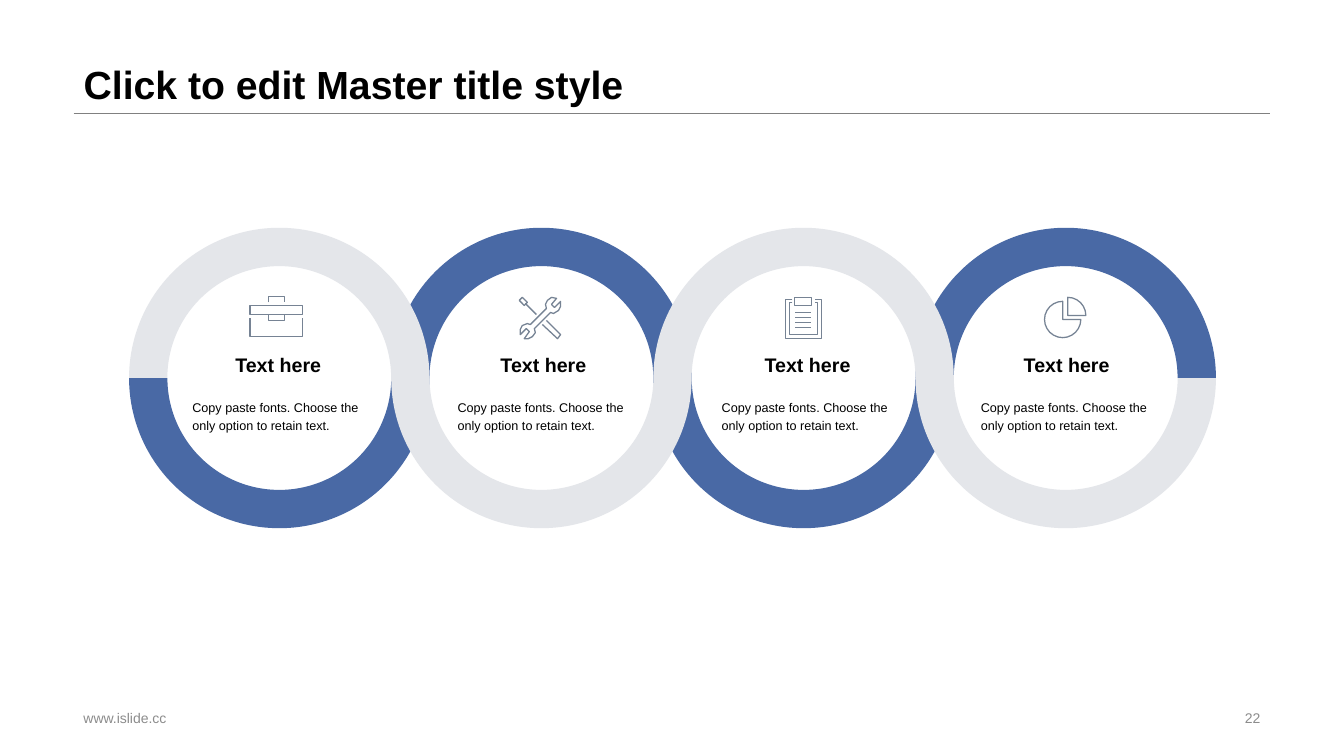
import math
import lxml.etree
import pptx
import pptx.dml.color
import pptx.enum.shapes
import pptx.enum.text
import pptx.oxml.ns
import pptx.util

Inches = pptx.util.Inches
RGBColor = pptx.dml.color.RGBColor
ALIGN = pptx.enum.text.PP_ALIGN
ANCHOR = pptx.enum.text.MSO_ANCHOR

BLUE = RGBColor(0x49, 0x69, 0xA5)
PALE = RGBColor(0xE4, 0xE6, 0xEA)
SLATE = RGBColor(0x76, 0x83, 0x94)
BLACK = RGBColor(0, 0, 0)
GREY = RGBColor(0x8C, 0x8C, 0x8C)
RULE = RGBColor(0x80, 0x80, 0x80)

SIZE = 2.98
BAND = 0.38
FIRST = 1.28
STEP = 2.6
TOP = 2.26


def style(frame, text, size, color, bold=False, align=ALIGN.LEFT,
          anchor=ANCHOR.MIDDLE, wrap=True, space=1.0):
    frame.auto_size = pptx.enum.text.MSO_AUTO_SIZE.NONE
    frame.word_wrap = wrap
    frame.vertical_anchor = anchor
    frame.text = text
    para = frame.paragraphs[0]
    para.alignment = align
    para.line_spacing = space
    para.font.name = "Arial"
    para.font.size = pptx.util.Pt(size)
    para.font.bold = bold
    para.font.color.rgb = color


def add_text(slide, place, text, size, color, **look):
    shape = slide.shapes.add_textbox(*map(Inches, place))
    style(shape.text_frame, text, size, color, **look)


def add_title(slide, text):
    title = slide.shapes.title
    title.left, title.top = Inches(0.73), Inches(0)
    title.width, title.height = Inches(11.87), Inches(1.12)
    style(title.text_frame, text, 28, BLACK, bold=True,
          anchor=ANCHOR.BOTTOM, space=0.9)


def add_rule(slide):
    line = slide.shapes.add_connector(
        pptx.enum.shapes.MSO_CONNECTOR.STRAIGHT,
        Inches(0.73), Inches(1.12), Inches(12.6), Inches(1.12))
    line.line.color.rgb = RULE
    line.line.width = pptx.util.Pt(0.25)
    lxml.etree.SubElement(line.element.spPr, pptx.oxml.ns.qn("a:effectLst"))


def add_half(slide, index, turn, color):
    half = slide.shapes.add_shape(
        pptx.enum.shapes.MSO_SHAPE.BLOCK_ARC, Inches(FIRST + STEP * index),
        Inches(TOP), Inches(SIZE), Inches(SIZE))
    half.adjustments[2] = BAND / SIZE
    half.rotation = turn
    half.shadow.inherit = False
    half.fill.solid()
    half.fill.fore_color.rgb = color
    half.line.fill.background()


def add_icon(slide, paths):
    pen = None
    for points, closed in paths:
        spots = [(Inches(x), Inches(y)) for x, y in points]
        if pen is None:
            pen = slide.shapes.build_freeform(*spots[0])
        else:
            pen.move_to(*spots[0])
        pen.add_line_segments(spots[1:], close=closed)
    icon = pen.convert_to_shape()
    icon.shadow.inherit = False
    icon.fill.background()
    icon.line.color.rgb = SLATE
    icon.line.width = pptx.util.Pt(0.9)


def box(left, top, right, base):
    return [(left, top), (right, top), (right, base), (left, base)], True


def cup(left, right, rim, base):
    return [(left, rim), (left, base), (right, base), (right, rim)], False


def frame(left, top, right, base):
    return [(7.86, top), (left, top), (left, base), (right, base),
            (right, top), (8.08, top)], False


def wedge(x, y, start, end):
    turns = [math.radians(turn) for turn in range(start, end + 1, 15)]
    return [(x, y)] + [(x + 0.18 * math.cos(turn), y + 0.18 * math.sin(turn))
                       for turn in turns], True


def case_icon():
    return [box(2.48, 3.03, 3, 3.12), cup(2.48, 3, 3.16, 3.34),
            cup(2.66, 2.82, 3, 2.94), cup(2.66, 2.82, 3.13, 3.18)]


def tool_icon():
    wrench = [
        (5.52, 2.96), (5.47, 2.95), (5.43, 2.98), (5.41, 3.02), (5.42, 3.06),
        (5.26, 3.22), (5.23, 3.21), (5.18, 3.23), (5.16, 3.27), (5.16, 3.32),
        (5.22, 3.26), (5.25, 3.29), (5.2, 3.36), (5.24, 3.36), (5.28, 3.34),
        (5.31, 3.3), (5.3, 3.26), (5.46, 3.1), (5.49, 3.11), (5.54, 3.08),
        (5.56, 3.04), (5.56, 2.99), (5.5, 3.05), (5.47, 3.02)]
    tip = [(5.18, 2.95), (5.15, 2.98), (5.2, 3.03), (5.23, 3)]
    shaft = [(5.21, 3.01), (5.32, 3.12)]
    grip = [(5.42, 3.18), (5.56, 3.32), (5.53, 3.36), (5.38, 3.22)]
    return [(wrench, True), (tip, True), (shaft, False), (grip, False)]


def list_icon():
    rows = [([(7.89, 3.1 + 0.05 * i), (8.04, 3.1 + 0.05 * i)], False)
            for i in range(4)]
    return rows + [box(7.88, 2.95, 8.05, 3.03),
                   frame(7.83, 3, 8.11, 3.32),
                   frame(7.79, 2.97, 8.15, 3.36)]


def pie_icon():
    return [wedge(10.59, 3.13, -90, 0), wedge(10.54, 3.17, 0, 270)]


def main():
    deck = pptx.Presentation()
    deck.slide_width, deck.slide_height = Inches(13.33), Inches(7.5)
    slide = deck.slides.add_slide(deck.slide_layouts[5])

    add_rule(slide)
    add_title(slide, "Click to edit Master title style")
    add_text(slide, (0.73, 7.01, 4.53, 0.23), "www.islide.cc", 10, GREY)
    add_text(slide, (9.42, 7.01, 3.18, 0.23), "22", 10, GREY,
             align=ALIGN.RIGHT)

    for left in (1.81, 4.44, 7.06, 9.63):
        add_text(slide, (left, 3.45, 1.9, 0.36), "Text here", 14, BLACK,
                 bold=True, align=ALIGN.CENTER, anchor=ANCHOR.TOP, wrap=False)
        add_text(slide, (left, 3.81, 1.9, 0.61),
                 "Copy paste fonts. Choose the only option to retain text.",
                 9, BLACK, space=1.2)

    for color, shift in ((BLUE, 180), (PALE, 0)):
        for index in range(4):
            add_half(slide, index, (shift + 180 * index) % 360, color)

    for paths in (case_icon(), tool_icon(), list_icon(), pie_icon()):
        add_icon(slide, paths)

    deck.save("out.pptx")


if __name__ == "__main__":
    main()
